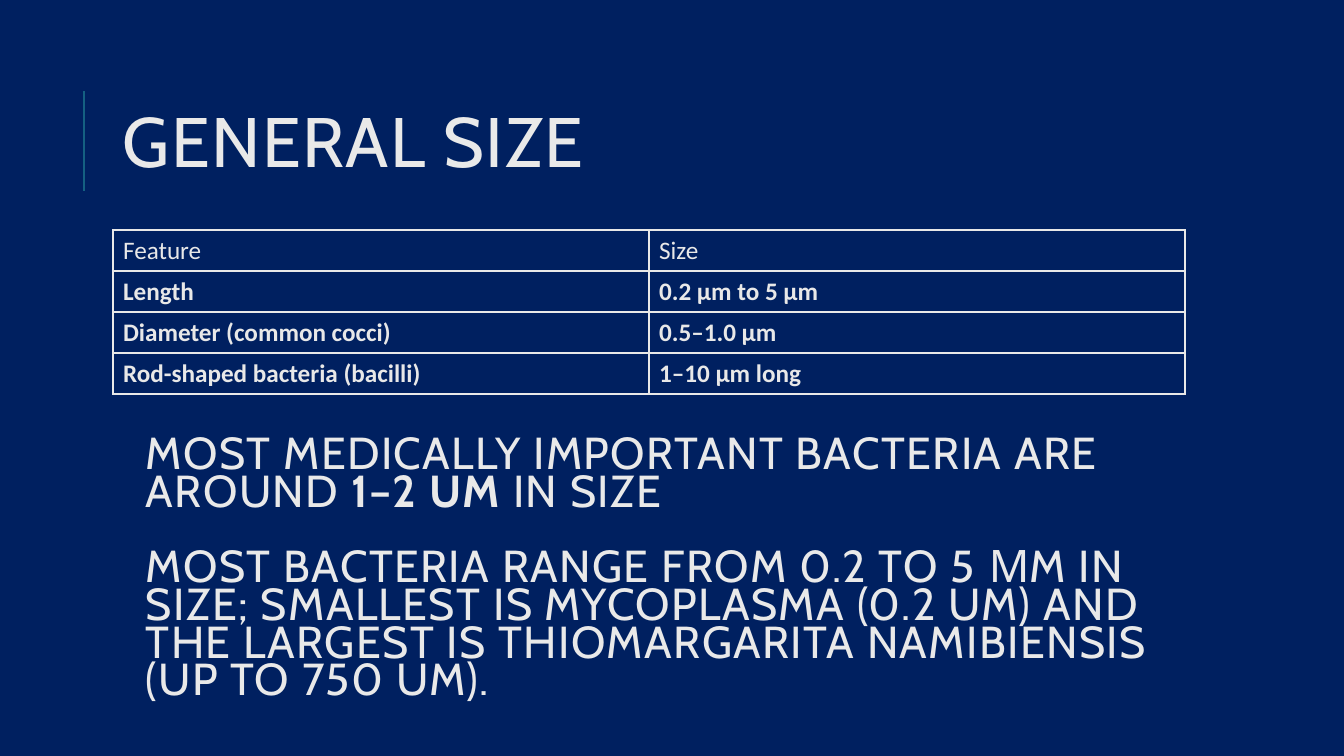
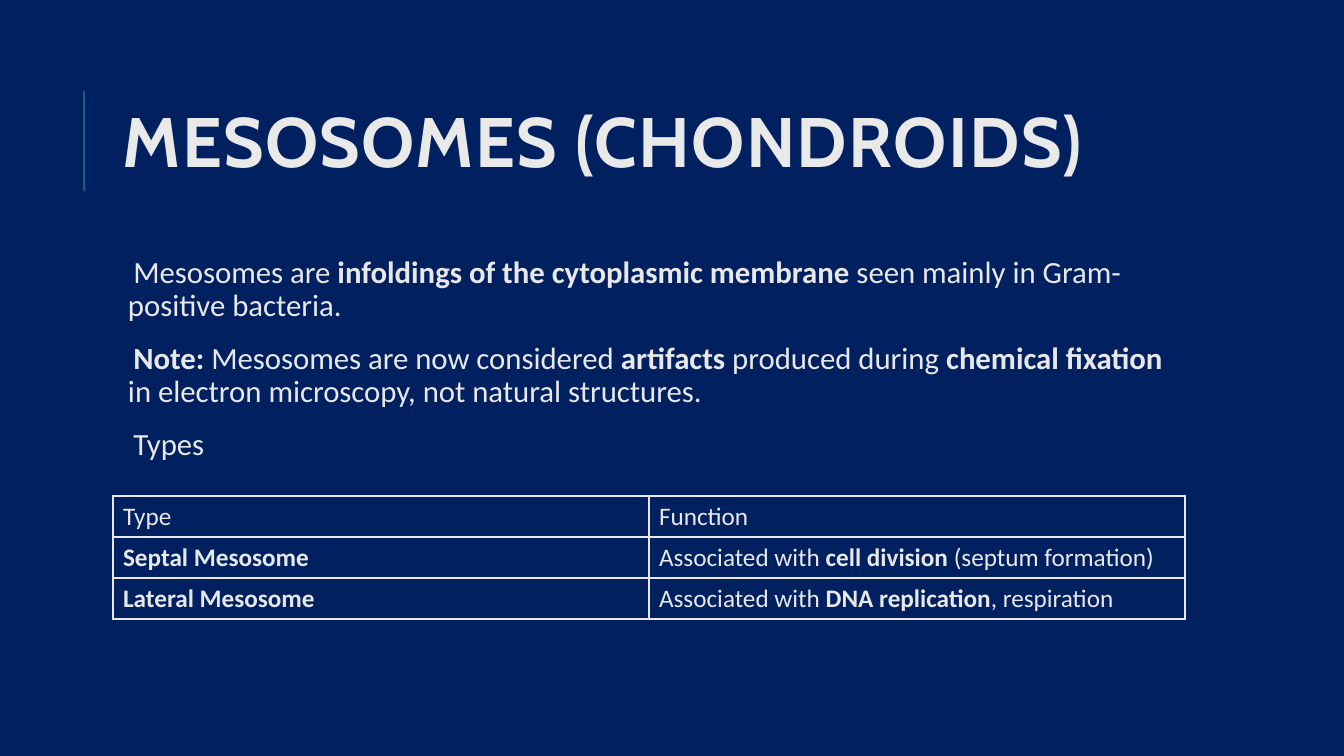
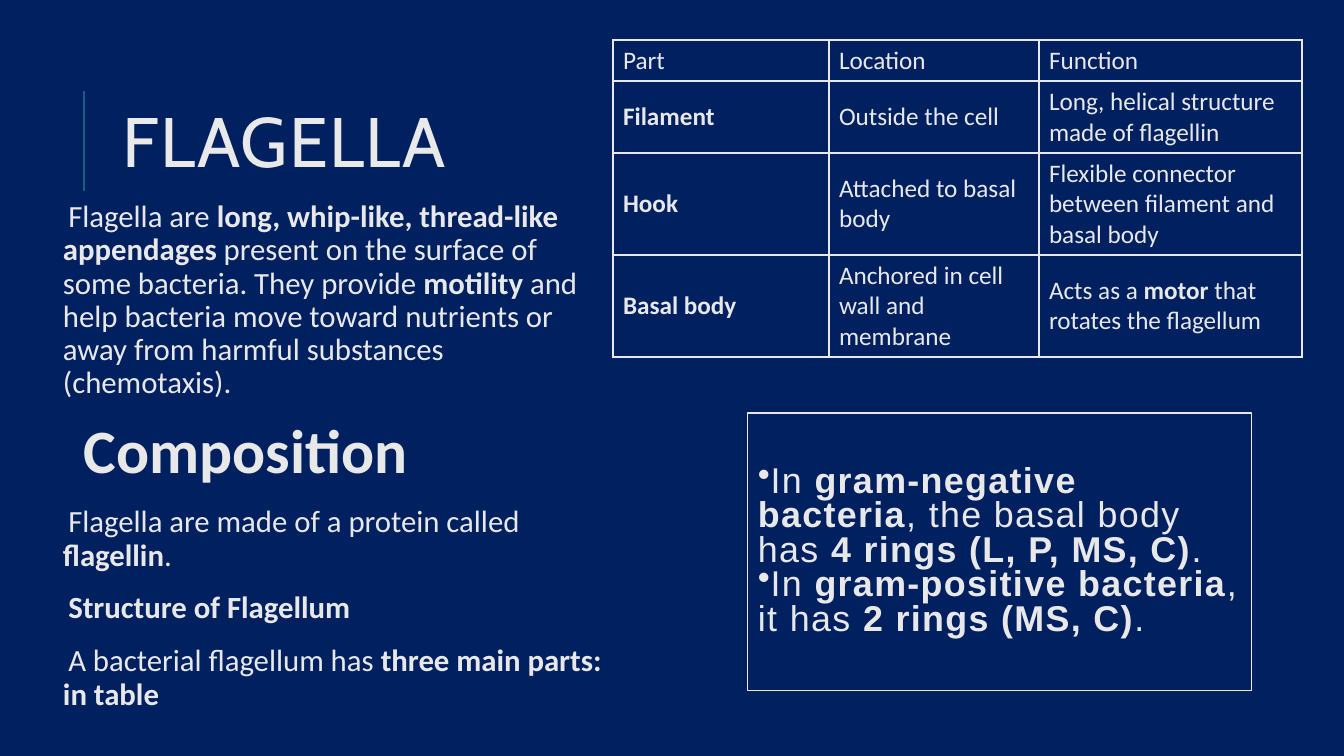
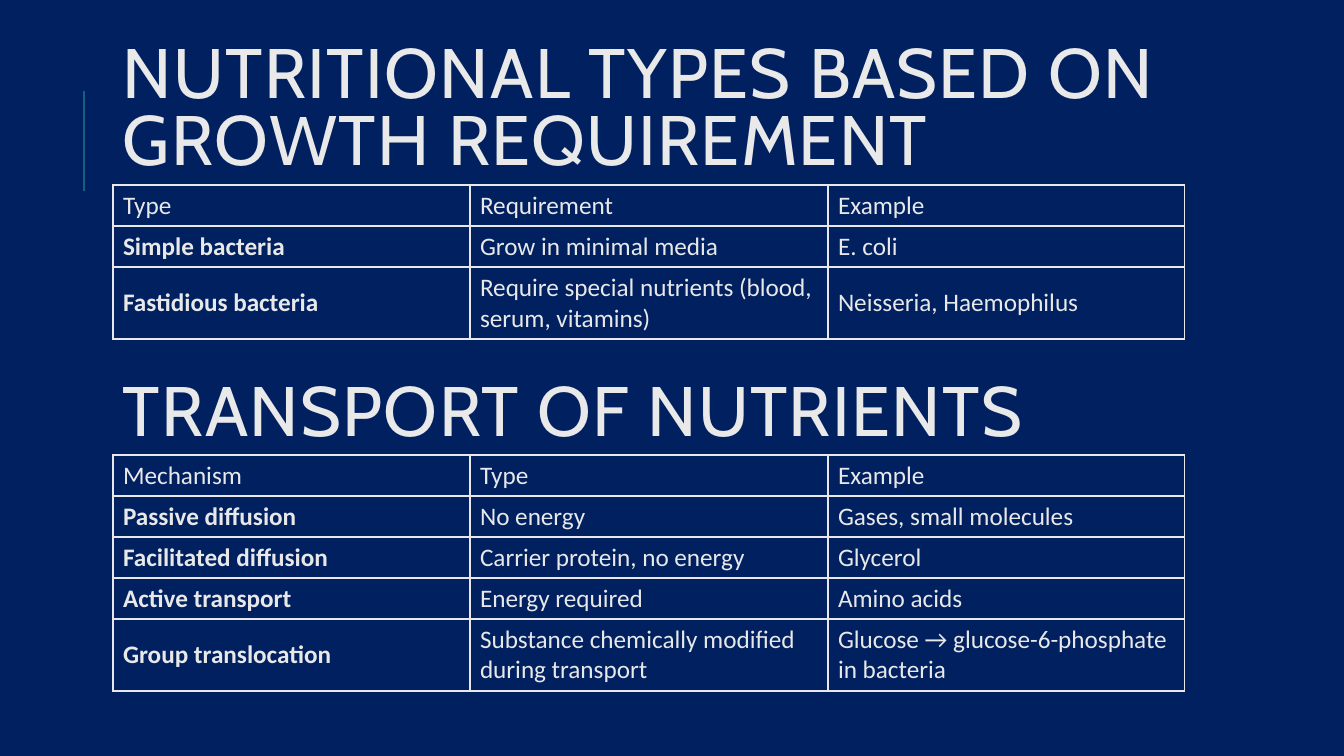
from dataclasses import dataclass

from lxml import etree
from pptx import Presentation
from pptx.dml.color import RGBColor
from pptx.enum.shapes import MSO_CONNECTOR, MSO_SHAPE
from pptx.enum.text import MSO_ANCHOR, PP_ALIGN
from pptx.oxml.ns import qn
from pptx.util import Pt

EMU_PER_PX = 914400 / 100.8
NAVY = RGBColor(0x00, 0x20, 0x60)
TEAL = RGBColor(0x15, 0x60, 0x82)
TITLE_GREY = RGBColor(0xE9, 0xE9, 0xE9)
TEXT_GREY = RGBColor(0xE8, 0xE8, 0xE8)
STRAIGHT = MSO_CONNECTOR.STRAIGHT
RECTANGLE = MSO_SHAPE.RECTANGLE
TOP, MIDDLE = MSO_ANCHOR.TOP, MSO_ANCHOR.MIDDLE
LEFT = PP_ALIGN.LEFT
MARGIN, CONTENT_WIDTH = 113, 1072
ROW_HEIGHTS = {1: 41, 2: 72, 3: 102}
HALVES = (536, 536)
THIRDS = (357, 358, 357)


@dataclass(frozen=True)
class TextStyle:
    """Holds the look of a paragraph."""
    font: str
    size: float
    color: RGBColor = TEXT_GREY
    line_spacing: float = 1.0
    tracking: int = 0
    before: int = 0
    after: int = 0
    bullet: str = ""
    hanging: int = 0


TITLE = TextStyle("Cabin", 50, TITLE_GREY, 0.8, 100)
STATEMENT = TextStyle("Cabin", 32, TITLE_GREY, 0.7, 100, before=27)
BODY = TextStyle("Calibri", 22, line_spacing=0.9, before=12, after=2, bullet=" ", hanging=10)
CELL = TextStyle("Calibri", 18)
CALLOUT = TextStyle("Arial", 25.6, line_spacing=0.8, tracking=100, bullet="•")


def px(length):
    """Turn pixels into EMU."""
    return round(length * EMU_PER_PX)


class Deck:
    """Holds the presentation, its style and the current slide."""

    def __init__(self):
        """Start an empty wide presentation."""
        self.presentation = Presentation()
        self.presentation.slide_width = px(1344)
        self.presentation.slide_height = px(756)
        self.slide = None

    def add_slide(self, title, top=65):
        """Add a navy slide with the accent line and a title."""
        self.slide = self.presentation.slides.add_slide(self.presentation.slide_layouts[6])
        self.slide.background.fill.solid()
        self.slide.background.fill.fore_color.rgb = NAVY
        accent = self.slide.shapes.add_connector(STRAIGHT, px(84), px(191), px(84), px(91))
        accent.line.color.rgb = TEAL
        accent.line.width = Pt(1.5)
        etree.SubElement(accent._element.spPr, qn("a:effectLst"))
        self.title(title, top)

    def title(self, text, top):
        """Add a title at the given height."""
        self.text(MARGIN, top, CONTENT_WIDTH, 165, [text], TITLE)

    def text(self, left, top, width, height, texts, style):
        """Add a text box centred vertically."""
        box = self.slide.shapes.add_textbox(px(left), px(top), px(width), px(height))
        self.fill_frame(box.text_frame, texts, style)

    def body(self, left, top, width, height, texts, sizes=None):
        """Add body text with narrow insets."""
        box = self.slide.shapes.add_textbox(px(left), px(top), px(width), px(height))
        frame = box.text_frame
        frame.margin_left = frame.margin_right = frame.margin_top = frame.margin_bottom = px(5)
        self.fill_frame(frame, texts, BODY, TOP, sizes)

    def callout(self, left, top, width, height, texts):
        """Add an outlined box with bulleted text."""
        shape = self.slide.shapes.add_shape(RECTANGLE, px(left), px(top), px(width), px(height))
        shape.shadow.inherit = False
        shape.fill.background()
        shape.line.color.rgb = TEXT_GREY
        shape.line.width = Pt(0.75)
        self.fill_frame(shape.text_frame, texts, CALLOUT)

    def table(self, left, top, columns, rows, lines=None):
        """Add a bordered table, with the text lines in each row if not one."""
        heights = [ROW_HEIGHTS[count] for count in lines or [1] * len(rows)]
        frame = self.slide.shapes.add_table(
            len(rows), len(columns), px(left), px(top), px(sum(columns)), px(sum(heights)))
        table = frame.table
        table.first_row = table.horz_banding = False
        for column, width in zip(table.columns, columns):
            column.width = px(width)
        for row, height, texts in zip(table.rows, heights, rows):
            row.height = px(height)
            for cell, text in zip(row.cells, texts):
                self.border(cell)
                cell.fill.background()
                cell.vertical_anchor = MIDDLE
                self.paragraph(cell.text_frame.paragraphs[0], text, CELL)

    def border(self, cell):
        """Draw the four edges of a cell."""
        properties = cell._tc.get_or_add_tcPr()
        for edge in ("a:lnL", "a:lnR", "a:lnT", "a:lnB"):
            line = etree.SubElement(properties, qn(edge), w=str(Pt(1)))
            fill = etree.SubElement(line, qn("a:solidFill"))
            etree.SubElement(fill, qn("a:srgbClr"), val=str(TEXT_GREY))

    def fill_frame(self, frame, texts, style, anchor=MIDDLE, sizes=None):
        """Fill a text frame with paragraphs."""
        frame.word_wrap = True
        frame.vertical_anchor = anchor
        for index, text in enumerate(texts):
            paragraph = frame.add_paragraph() if index else frame.paragraphs[0]
            size = (sizes or {}).get(index, style.size)
            self.paragraph(paragraph, text, style, size, style.before if index else 0)

    def paragraph(self, paragraph, text, style, size=None, before=0):
        """Set one paragraph, where ** switches bold on and off."""
        if style.bullet:
            properties = paragraph._p.get_or_add_pPr()
            properties.set("marL", str(px(style.hanging)))
            properties.set("indent", str(px(-style.hanging)))
            etree.SubElement(properties, qn("a:buChar"), char=style.bullet)
        paragraph.alignment = LEFT
        paragraph.line_spacing = style.line_spacing
        paragraph.space_before = Pt(before)
        paragraph.space_after = Pt(style.after)
        for index, part in enumerate(text.split("**")):
            if part:
                run = paragraph.add_run()
                run.text = part
                run.font.name = style.font
                run.font.size = Pt(size or style.size)
                run.font.color.rgb = style.color
                run.font.bold = index % 2 == 1
                if style.tracking:
                    run._r.get_or_add_rPr().set("spc", str(style.tracking))


def general_size(deck):
    """Build the slide on bacterial size."""
    deck.add_slide("GENERAL SIZE")
    deck.table(MARGIN, 230, HALVES, [
        ("Feature", "Size"),
        ("**Length**", "**0.2 µm to 5 µm**"),
        ("**Diameter (common cocci)**", "**0.5–1.0 µm**"),
        ("**Rod-shaped bacteria (bacilli)**", "**1–10 µm long**"),
    ])
    deck.text(136, 459, CONTENT_WIDTH, 225, [
        "MOST MEDICALLY IMPORTANT BACTERIA ARE AROUND **1–2 UM **IN SIZE",
        "MOST BACTERIA RANGE FROM 0.2 TO 5 ΜM IN SIZE; SMALLEST IS MYCOPLASMA (0.2 UM) "
        "AND THE LARGEST IS THIOMARGARITA NAMIBIENSIS (UP TO 750 UM).",
    ], STATEMENT)


def mesosomes(deck):
    """Build the slide on mesosomes."""
    deck.add_slide("**MESOSOMES (CHONDROIDS)**")
    deck.body(MARGIN, 252, CONTENT_WIDTH, 444, [
        "Mesosomes are **infoldings of the cytoplasmic membrane** seen mainly in "
        "Gram-positive bacteria.",
        "**Note:** Mesosomes are now considered **artifacts** produced during "
        "**chemical fixation** in electron microscopy, not natural structures.",
        "Types",
    ])
    deck.table(MARGIN, 496, HALVES, [
        ("Type", "Function"),
        ("**Septal Mesosome**", "Associated with **cell division** (septum formation)"),
        ("**Lateral Mesosome**", "Associated with **DNA replication**, respiration"),
    ])


def flagella(deck):
    """Build the slide on flagella."""
    deck.add_slide("FLAGELLA")
    deck.body(48, 196, 564, 496, [
        "Flagella are **long, whip-like, thread-like appendages** present on the surface of "
        "some bacteria. They provide **motility** and help bacteria move toward nutrients or "
        "away from harmful substances (chemotaxis).",
        "**Composition**",
        "Flagella are made of a protein called **flagellin**.",
        "**Structure of Flagellum**",
        "A bacterial flagellum has **three main parts: in table**",
    ], sizes={1: 44})
    deck.table(613, 40, (216, 210, 263), [
        ("Part", "Location", "Function"),
        ("**Filament**", "Outside the cell", "Long, helical structure made of flagellin"),
        ("**Hook**", "Attached to basal body",
         "Flexible connector between filament and basal body"),
        ("**Basal body**", "Anchored in cell wall and membrane",
         "Acts as a **motor** that rotates the flagellum"),
    ], (1, 2, 3, 3))
    deck.callout(748, 413, 504, 278, [
        "In **gram-negative bacteria**, the basal body has **4 rings (L, P, MS, C)**.",
        "In **gram-positive bacteria**, it has **2 rings (MS, C)**.",
    ])


def nutrition(deck):
    """Build the slide on nutritional types and transport."""
    deck.add_slide("NUTRITIONAL TYPES BASED ON GROWTH REQUIREMENT", 29)
    deck.table(MARGIN, 185, THIRDS, [
        ("Type", "Requirement", "Example"),
        ("**Simple bacteria**", "Grow in minimal media", "E. coli"),
        ("**Fastidious bacteria**", "Require special nutrients (blood, serum, vitamins)",
         "Neisseria, Haemophilus"),
    ], (1, 1, 2))
    deck.table(MARGIN, 455, THIRDS, [
        ("Mechanism", "Type", "Example"),
        ("**Passive diffusion**", "No energy", "Gases, small molecules"),
        ("**Facilitated diffusion**", "Carrier protein, no energy", "Glycerol"),
        ("**Active transport**", "Energy required", "Amino acids"),
        ("**Group translocation**", "Substance chemically modified during transport",
         "Glucose → glucose-6-phosphate in bacteria"),
    ], (1, 1, 1, 1, 2))
    deck.title("TRANSPORT OF NUTRIENTS", 334)


def main():
    """Build and save the presentation."""
    deck = Deck()
    for build in (general_size, mesosomes, flagella, nutrition):
        build(deck)
    deck.presentation.save("out.pptx")


if __name__ == "__main__":
    main()
